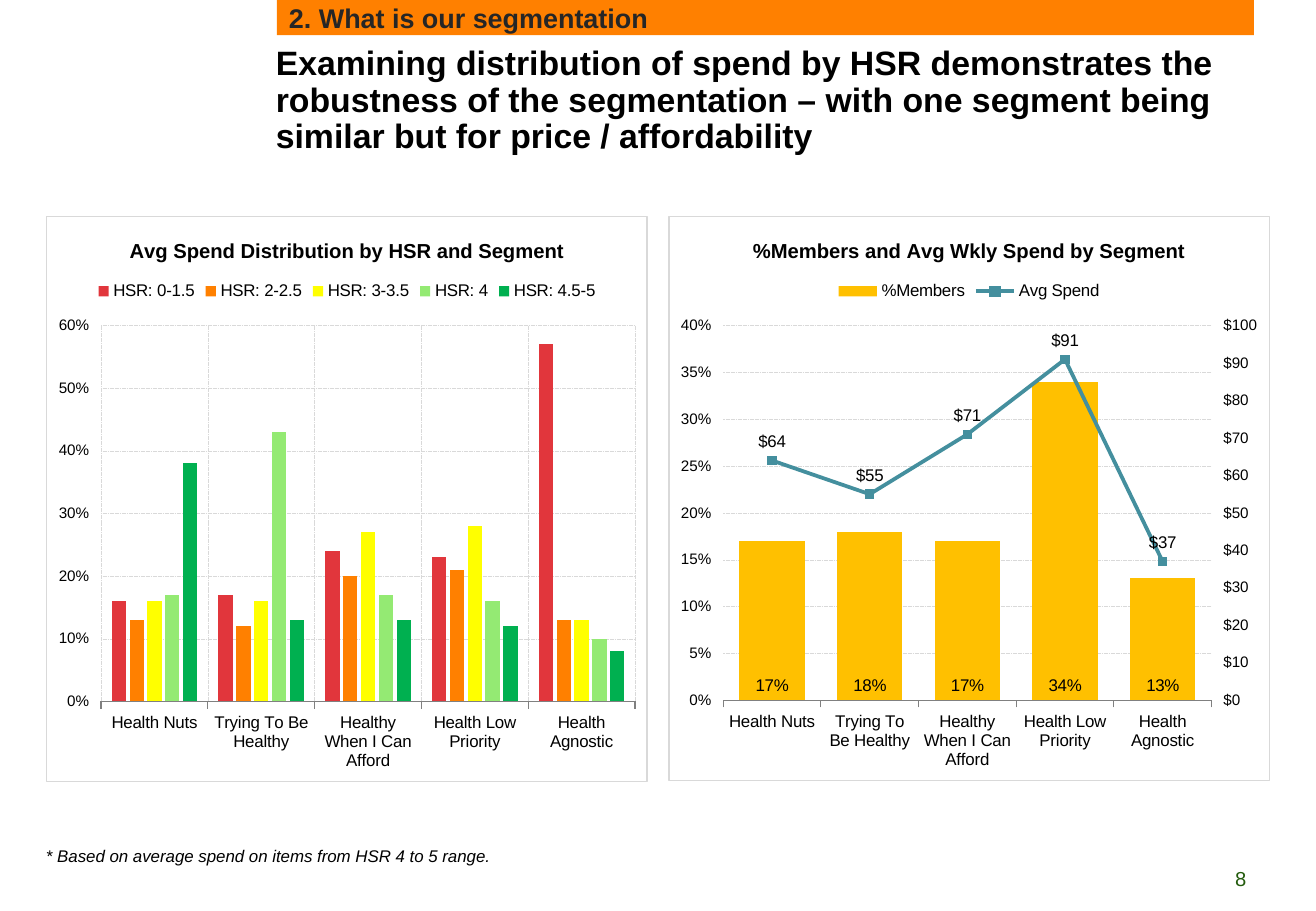
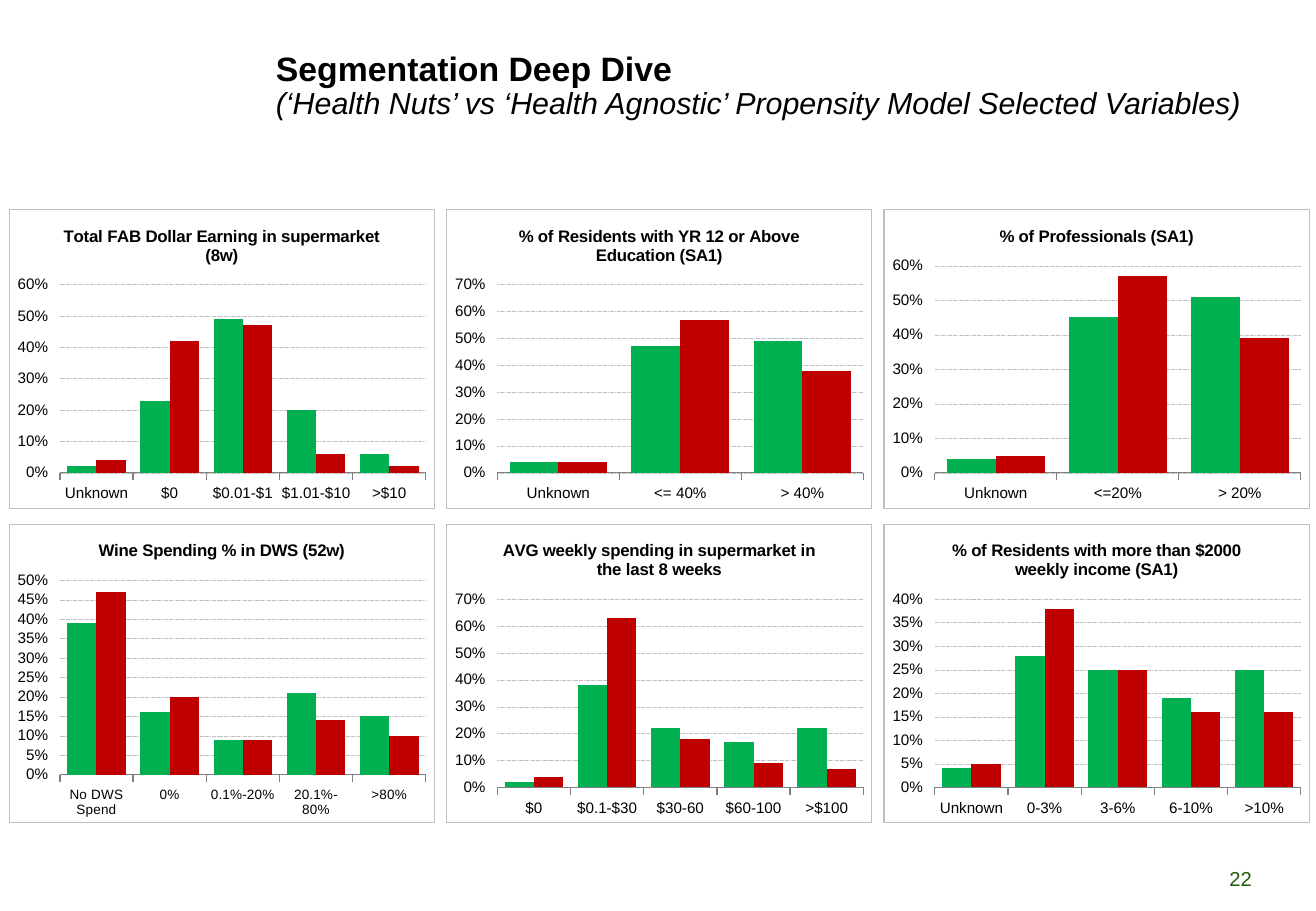
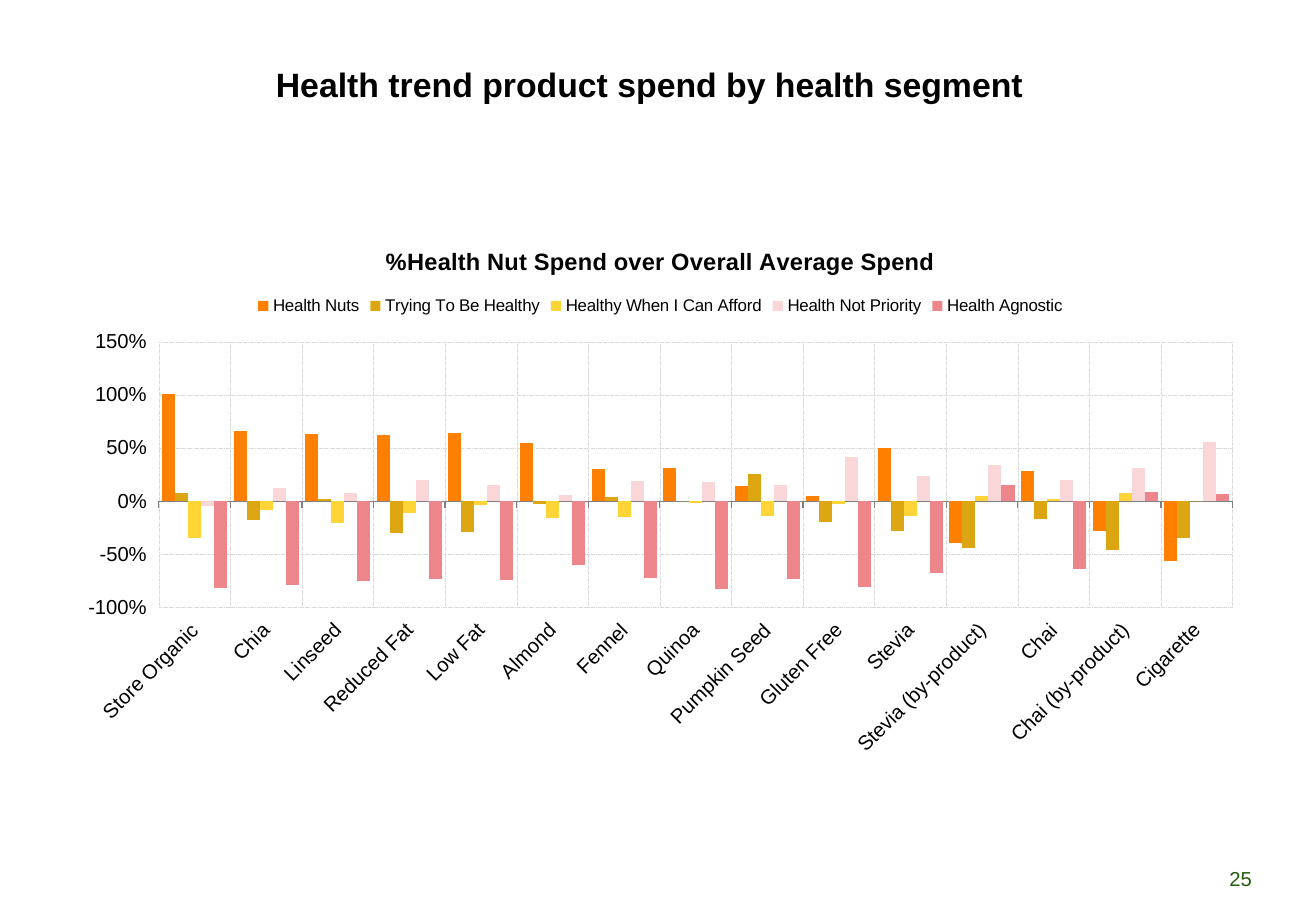
from dataclasses import dataclass
from typing import NamedTuple, Optional

from pptx import Presentation
from pptx.chart.axis import ValueAxis
from pptx.chart.chart import Chart
from pptx.chart.data import CategoryChartData
from pptx.dml.color import RGBColor
from pptx.enum.chart import (XL_CHART_TYPE, XL_LABEL_POSITION, XL_LEGEND_POSITION,
                             XL_MARKER_STYLE, XL_TICK_LABEL_POSITION)
from pptx.enum.dml import MSO_LINE
from pptx.enum.shapes import MSO_SHAPE
from pptx.enum.text import MSO_ANCHOR, MSO_AUTO_SIZE, PP_ALIGN
from pptx.oxml import parse_xml
from pptx.oxml.ns import nsdecls, qn
from pptx.slide import Slide
from pptx.text.text import Font, TextFrame
from pptx.util import Emu, Pt

# Enum members
COLUMNS = XL_CHART_TYPE.COLUMN_CLUSTERED
INSIDE_BASE, ABOVE = XL_LABEL_POSITION.INSIDE_BASE, XL_LABEL_POSITION.ABOVE
LEGEND_TOP = XL_LEGEND_POSITION.TOP
LABELS_LOW = XL_TICK_LABEL_POSITION.LOW
SQUARE_MARKER = XL_MARKER_STYLE.SQUARE
GRID_DASH = MSO_LINE.SQUARE_DOT
RECTANGLE = MSO_SHAPE.RECTANGLE
MIDDLE, TOP = MSO_ANCHOR.MIDDLE, MSO_ANCHOR.TOP
NO_AUTOFIT = MSO_AUTO_SIZE.NONE
LEFT, CENTER = PP_ALIGN.LEFT, PP_ALIGN.CENTER

# Shared theme
EMU_PER_PX = 9144  # 100 px to the inch
FONT = "Arial"
TITLE_ONLY_LAYOUT = 5
BLACK = RGBColor(0x00, 0x00, 0x00)
CHARCOAL = RGBColor(0x26, 0x26, 0x26)
DARK_GREEN = RGBColor(0x24, 0x5C, 0x0E)
AXIS_GRAY = RGBColor(0x80, 0x80, 0x80)
LIGHT_GRAY = RGBColor(0xD9, 0xD9, 0xD9)
MID_GRAY = RGBColor(0xBF, 0xBF, 0xBF)
ORANGE = RGBColor(0xFF, 0x80, 0x00)
RED = RGBColor(0xE1, 0x36, 0x3C)
YELLOW = RGBColor(0xFF, 0xFF, 0x00)
LIGHT_GREEN = RGBColor(0x94, 0xEA, 0x73)
GREEN = RGBColor(0x00, 0xB0, 0x50)
AMBER = RGBColor(0xFF, 0xC0, 0x00)
TEAL = RGBColor(0x44, 0x8F, 0x9E)
DARK_RED = RGBColor(0xC0, 0x00, 0x00)
OCHRE = RGBColor(0xDC, 0xA5, 0x12)
GOLD = RGBColor(0xFF, 0xD4, 0x37)
PALE_PINK = RGBColor(0xF9, 0xD7, 0xD8)
PINK = RGBColor(0xED, 0x86, 0x8A)


class Box(NamedTuple):
    left: int
    top: int
    width: int
    height: int

    def emu(self) -> list[Emu]:
        return [Emu(length * EMU_PER_PX) for length in self]


class Series(NamedTuple):
    name: str
    values: list[float]
    color: RGBColor


class Scale(NamedTuple):
    low: float
    high: float
    step: float


@dataclass
class ColumnChart:
    box: Box
    title: str
    categories: list[str]
    series: list[Series]
    scale: Scale
    title_size: int = 12
    category_size: int = 9
    value_size: int = 9
    gap: int = 50
    overlap: int = 0
    grid: RGBColor = LIGHT_GRAY
    category_grid: bool = False
    border: Optional[RGBColor] = None
    legend: bool = True
    slanted_labels: bool = False


# Text helpers
def style_font(font: Font, size: float, color: RGBColor = BLACK,
               bold: bool = False, italic: bool = False) -> None:
    font.name, font.size = FONT, Pt(size)
    font.bold, font.italic = bold, italic
    font.color.rgb = color


def write_text(frame: TextFrame, text: str, *, size: float, color: RGBColor = BLACK,
               bold: bool = False, italic: bool = False, align: PP_ALIGN = LEFT,
               anchor: MSO_ANCHOR = MIDDLE, inset: bool = True,
               line_spacing: float = 1.0) -> None:
    frame.word_wrap, frame.auto_size = True, NO_AUTOFIT
    frame.vertical_anchor = anchor
    if not inset:
        frame.margin_left = frame.margin_right = frame.margin_top = frame.margin_bottom = 0
    paragraph = frame.paragraphs[0]
    paragraph.alignment, paragraph.line_spacing = align, line_spacing
    run = paragraph.add_run()
    run.text = text
    style_font(run.font, size, color, bold, italic)


def start_slide(presentation: Presentation, title: str, page: int,
                title_top: int = 0, subtitle: str = "") -> Slide:
    """Add a slide with the shared title and page number."""
    slide = presentation.slides.add_slide(presentation.slide_layouts[TITLE_ONLY_LAYOUT])
    shape = slide.shapes.title
    shape.left, shape.top, shape.width, shape.height = Box(227, title_top, 808, 143).emu()
    write_text(shape.text_frame, title, size=20, bold=True, inset=False, line_spacing=0.9)
    if subtitle:
        paragraph = shape.text_frame.paragraphs[0]
        paragraph.add_line_break()
        run = paragraph.add_run()
        run.text = subtitle
        style_font(run.font, 18, italic=True)
    number = slide.shapes.add_textbox(*Box(993, 713, 56, 20).emu())
    write_text(number.text_frame, str(page), size=12, color=DARK_GREEN,
               align=CENTER, inset=False)
    return slide


# Chart helpers
def style_gridlines(axis, color: RGBColor) -> None:
    axis.has_major_gridlines = True
    line = axis.major_gridlines.format.line
    line.color.rgb, line.width, line.dash_style = color, Pt(0.25), GRID_DASH


def style_value_axis(axis: ValueAxis, scale: Scale, size: int, number_format: str) -> None:
    axis.minimum_scale, axis.maximum_scale, axis.major_unit = scale
    axis.format.line.fill.background()
    axis.tick_labels.number_format = number_format
    axis.tick_labels.number_format_is_linked = False
    style_font(axis.tick_labels.font, size)


def set_border(chart: Chart, color: Optional[RGBColor]) -> None:
    line = f'<a:solidFill><a:srgbClr val="{color}"/></a:solidFill>' if color else "<a:noFill/>"
    chart.element.find(qn("c:chart")).addnext(parse_xml(
        f'<c:spPr {nsdecls("c", "a")}><a:noFill/><a:ln w="9525">{line}</a:ln></c:spPr>'))


def add_column_chart(slide: Slide, design: ColumnChart) -> Chart:
    data = CategoryChartData(number_format="0%")
    data.categories = design.categories
    for series in design.series:
        data.add_series(series.name, series.values)
    chart = slide.shapes.add_chart(COLUMNS, *design.box.emu(), data).chart
    style_font(chart.font, 10)
    set_border(chart, design.border)

    chart.has_title = True
    title_run = chart.chart_title.text_frame.paragraphs[0].add_run()
    title_run.text = design.title
    style_font(title_run.font, design.title_size, bold=True)
    chart.has_legend = design.legend
    if design.legend:
        chart.legend.position, chart.legend.include_in_layout = LEGEND_TOP, False
        style_font(chart.legend.font, 10)

    plot = chart.plots[0]
    plot.vary_by_categories = False
    plot.gap_width, plot.overlap = design.gap, design.overlap
    for drawn, series in zip(plot.series, design.series):
        drawn.format.fill.solid()
        drawn.format.fill.fore_color.rgb = series.color
        drawn.invert_if_negative = False

    style_value_axis(chart.value_axis, design.scale, design.value_size, "0%")
    style_gridlines(chart.value_axis, design.grid)
    category_axis = chart.category_axis
    category_axis.format.line.color.rgb = AXIS_GRAY
    style_font(category_axis.tick_labels.font, design.category_size)
    category_axis.tick_label_position = LABELS_LOW
    if design.category_grid:
        style_gridlines(category_axis, design.grid)
    if design.slanted_labels:
        body = chart.element.xpath(".//c:catAx/c:txPr/a:bodyPr")[0]
        body.set("rot", "-2700000")
        body.set("vert", "horz")
    return chart


def move_last_series_to_line(chart: Chart, color: RGBColor, scale: Scale,
                             number_format: str) -> None:
    """Turn the last column series into a line on a right-hand axis."""
    bar_chart = chart.element.xpath(".//c:barChart")[0]
    series = bar_chart.findall(qn("c:ser"))[-1]
    series.remove(series.find(qn("c:invertIfNegative")))
    line_chart = parse_xml(
        f'<c:lineChart {nsdecls("c")}><c:grouping val="standard"/><c:varyColors val="0"/>'
        '<c:marker val="1"/><c:axId val="50010"/><c:axId val="50020"/></c:lineChart>')
    line_chart.find(qn("c:marker")).addprevious(series)
    bar_chart.addnext(line_chart)

    def axis_xml(tag: str, own: int, other: int, hidden: int, side: str, crosses: str):
        return parse_xml(
            f'<c:{tag} {nsdecls("c")}><c:axId val="{own}"/>'
            '<c:scaling><c:orientation val="minMax"/></c:scaling>'
            f'<c:delete val="{hidden}"/><c:axPos val="{side}"/><c:majorTickMark val="out"/>'
            '<c:minorTickMark val="none"/><c:tickLblPos val="nextTo"/>'
            f'<c:crossAx val="{other}"/><c:crosses val="{crosses}"/></c:{tag}>')

    right_axis = axis_xml("valAx", 50020, 50010, 0, "r", "max")
    primary_axis = chart.element.xpath(".//c:valAx")[0]
    primary_axis.addnext(right_axis)
    right_axis.addnext(axis_xml("catAx", 50010, 50020, 1, "b", "autoZero"))
    style_value_axis(ValueAxis(right_axis), scale, 9, number_format)

    line = chart.plots[1].series[0]
    line.smooth = False
    line.format.line.color.rgb, line.format.line.width = color, Pt(2.25)
    line.marker.style, line.marker.size = SQUARE_MARKER, 5
    line.marker.format.fill.solid()
    line.marker.format.fill.fore_color.rgb = color
    line.marker.format.line.color.rgb = color


def label_values(series, position: XL_LABEL_POSITION, number_format: str) -> None:
    labels = series.data_labels
    labels.show_value, labels.position = True, position
    labels.number_format, labels.number_format_is_linked = number_format, False
    style_font(labels.font, 10)


# Slides
def add_distribution_slide(presentation: Presentation) -> None:
    slide = start_slide(
        presentation,
        "Examining distribution of spend by HSR demonstrates the robustness of the "
        "segmentation – with one segment being similar but for price / affordability",
        page=8, title_top=12)
    segments = ["Health Nuts", "Trying To Be Healthy", "Healthy When I Can Afford",
                "Health Low Priority", "Health Agnostic"]
    add_column_chart(slide, ColumnChart(
        Box(38, 178, 495, 466), "Avg Spend Distribution by HSR and Segment", segments,
        [Series("HSR: 0-1.5", [0.16, 0.17, 0.24, 0.23, 0.57], RED),
         Series("HSR: 2-2.5", [0.13, 0.12, 0.2, 0.21, 0.13], ORANGE),
         Series("HSR: 3-3.5", [0.16, 0.16, 0.27, 0.28, 0.13], YELLOW),
         Series("HSR: 4", [0.17, 0.43, 0.17, 0.16, 0.1], LIGHT_GREEN),
         Series("HSR: 4.5-5", [0.38, 0.13, 0.13, 0.12, 0.08], GREEN)],
        Scale(0, 0.6, 0.1), category_size=10, gap=150, overlap=-25,
        category_grid=True, border=LIGHT_GRAY))

    members = add_column_chart(slide, ColumnChart(
        Box(550, 178, 495, 465), "%Members and Avg Wkly Spend by Segment", segments,
        [Series("%Members", [0.17, 0.18, 0.17, 0.34, 0.13], AMBER),
         Series("Avg Spend", [64, 55, 71, 91, 37], TEAL)],
        Scale(0, 0.4, 0.05), category_size=10, overlap=-25, border=LIGHT_GRAY))
    dollars = '"$"#,##0'
    move_last_series_to_line(members, TEAL, Scale(0, 100, 10), dollars)
    label_values(members.plots[0].series[0], INSIDE_BASE, "0%")
    label_values(members.plots[1].series[0], ABOVE, dollars)

    footnote = slide.shapes.add_textbox(*Box(28, 691, 495, 27).emu())
    write_text(footnote.text_frame, "* Based on average spend on items from HSR 4 to 5 range.",
               size=10, italic=True, anchor=TOP)
    band = slide.shapes.add_shape(RECTANGLE, *Box(228, 0, 804, 29).emu())
    band.shadow.inherit = False
    band.fill.solid()
    band.fill.fore_color.rgb = ORANGE
    band.line.fill.background()
    write_text(band.text_frame, "2. What is our segmentation", size=16,
               color=CHARCOAL, bold=True)


def add_deep_dive_slide(presentation: Presentation) -> None:
    slide = start_slide(
        presentation, "Segmentation Deep Dive", page=22,
        subtitle="(‘Health Nuts’ vs ‘Health Agnostic’ Propensity Model Selected Variables)")
    # Title, categories, first values, second values, axis top, axis step, label size
    panels = [
        ("Total FAB Dollar Earning in supermarket (8w)",
         ["Unknown", "$0", "$0.01-$1", "$1.01-$10", ">$10"],
         [0.02, 0.23, 0.49, 0.2, 0.06], [0.04, 0.42, 0.47, 0.06, 0.02], 0.6, 0.1, 9),
        ("% of Residents with YR 12 or Above Education (SA1)",
         ["Unknown", "<= 40%", "> 40%"],
         [0.04, 0.47, 0.49], [0.04, 0.57, 0.38], 0.7, 0.1, 9),
        ("% of Professionals (SA1)",
         ["Unknown", "<=20%", "> 20%"],
         [0.04, 0.45, 0.51], [0.05, 0.57, 0.39], 0.6, 0.1, 9),
        ("Wine Spending % in DWS (52w)",
         ["No DWS Spend", "0%", "0.1%-20%", "20.1%-80%", ">80%"],
         [0.39, 0.16, 0.09, 0.21, 0.15], [0.47, 0.2, 0.09, 0.14, 0.1], 0.5, 0.05, 8),
        ("AVG weekly spending in supermarket in the last 8 weeks",
         ["$0", "$0.1-$30", "$30-60", "$60-100", ">$100"],
         [0.02, 0.38, 0.22, 0.17, 0.22], [0.04, 0.63, 0.18, 0.09, 0.07], 0.7, 0.1, 9),
        ("% of Residents with more than $2000 weekly income (SA1)",
         ["Unknown", "0-3%", "3-6%", "6-10%", ">10%"],
         [0.04, 0.28, 0.25, 0.19, 0.25], [0.05, 0.38, 0.25, 0.16, 0.16], 0.4, 0.05, 9),
    ]
    for index, (title, categories, nuts, agnostic, high, step, size) in enumerate(panels):
        row, column = divmod(index, 3)
        add_column_chart(slide, ColumnChart(
            Box(7 + 360 * column, 172 + 259 * row, 351, 247), title, categories,
            [Series("Series 1", nuts, GREEN), Series("Series 2", agnostic, DARK_RED)],
            Scale(0, high, step), title_size=10, category_size=size,
            grid=MID_GRAY, border=MID_GRAY, legend=False))


def add_trend_slide(presentation: Presentation) -> None:
    slide = start_slide(presentation, "Health trend product spend by health segment", page=25)
    products = ["Store Organic", "Chia", "Linseed", "Reduced Fat", "Low Fat", "Almond",
                "Fennel", "Quinoa", "Pumpkin Seed", "Gluten Free", "Stevia",
                "Stevia (by-product)", "Chai", "Chai (by-product)", "Cigarette"]
    add_column_chart(slide, ColumnChart(
        Box(53, 185, 981, 446), "%Health Nut Spend over Overall Average Spend", products,
        [Series("Health Nuts", [1.01, 0.66, 0.63, 0.62, 0.64, 0.55, 0.3, 0.31, 0.14, 0.05,
                                0.5, -0.39, 0.28, -0.28, -0.56], ORANGE),
         Series("Trying To Be Healthy", [0.08, -0.18, 0.02, -0.3, -0.29, -0.03, 0.04, 0, 0.26,
                                         -0.2, -0.28, -0.44, -0.17, -0.46, -0.35], OCHRE),
         Series("Healthy When I Can Afford", [-0.35, -0.08, -0.21, -0.11, -0.04, -0.16, -0.15,
                                              -0.02, -0.14, -0.03, -0.14, 0.05, 0.02, 0.08, 0],
                GOLD),
         Series("Health Not Priority", [-0.05, 0.12, 0.08, 0.2, 0.15, 0.06, 0.19, 0.18, 0.15,
                                        0.42, 0.24, 0.34, 0.2, 0.31, 0.56], PALE_PINK),
         Series("Health Agnostic", [-0.82, -0.79, -0.75, -0.73, -0.74, -0.6, -0.72, -0.83,
                                    -0.73, -0.81, -0.68, 0.15, -0.64, 0.09, 0.07], PINK)],
        Scale(-1, 1.5, 0.5), title_size=14, category_size=12, value_size=12,
        category_grid=True, slanted_labels=True))


def main() -> None:
    presentation = Presentation()
    presentation.slide_width = Emu(1083 * EMU_PER_PX)
    presentation.slide_height = Emu(750 * EMU_PER_PX)
    add_distribution_slide(presentation)
    add_deep_dive_slide(presentation)
    add_trend_slide(presentation)
    presentation.save("out.pptx")


if __name__ == "__main__":
    main()
